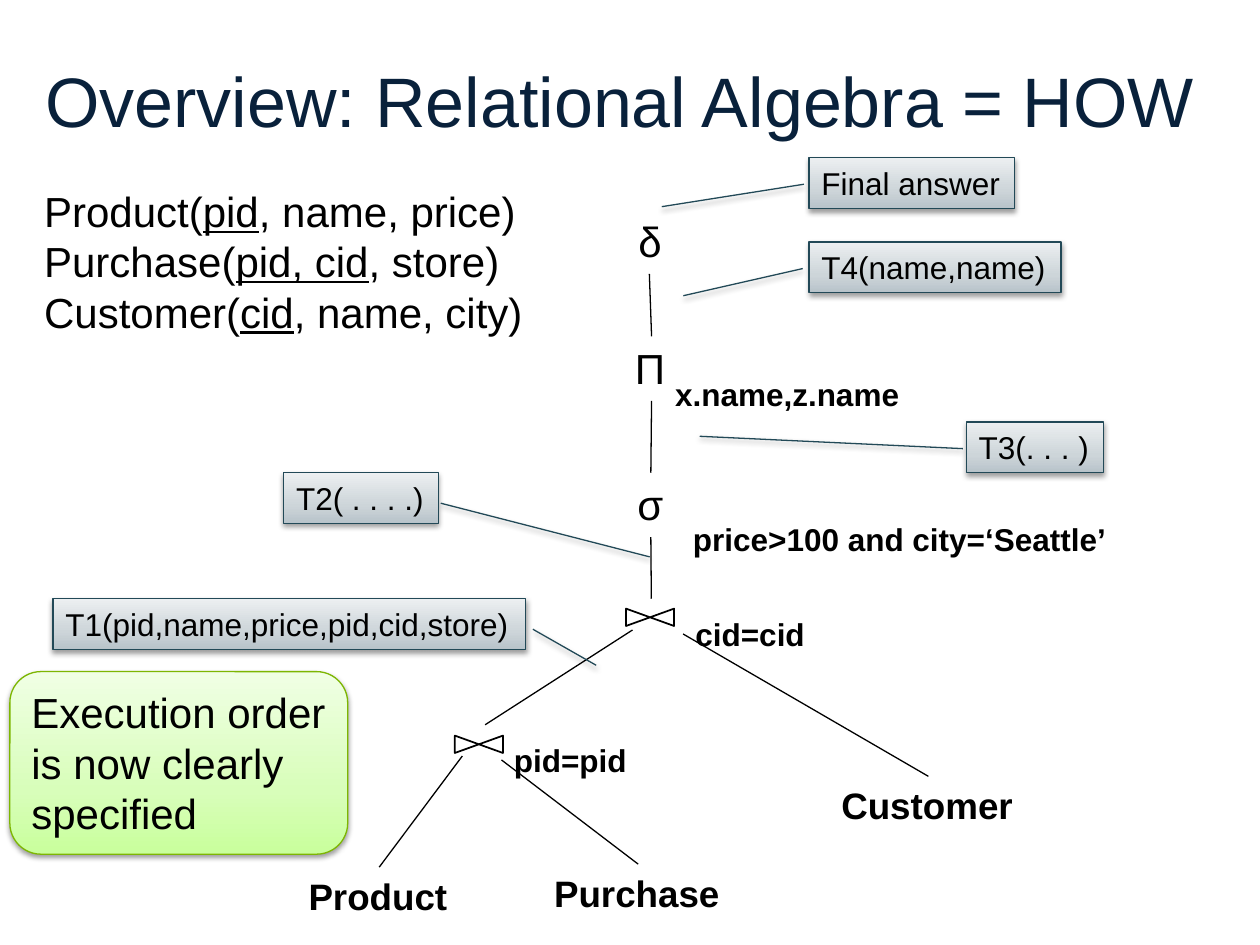
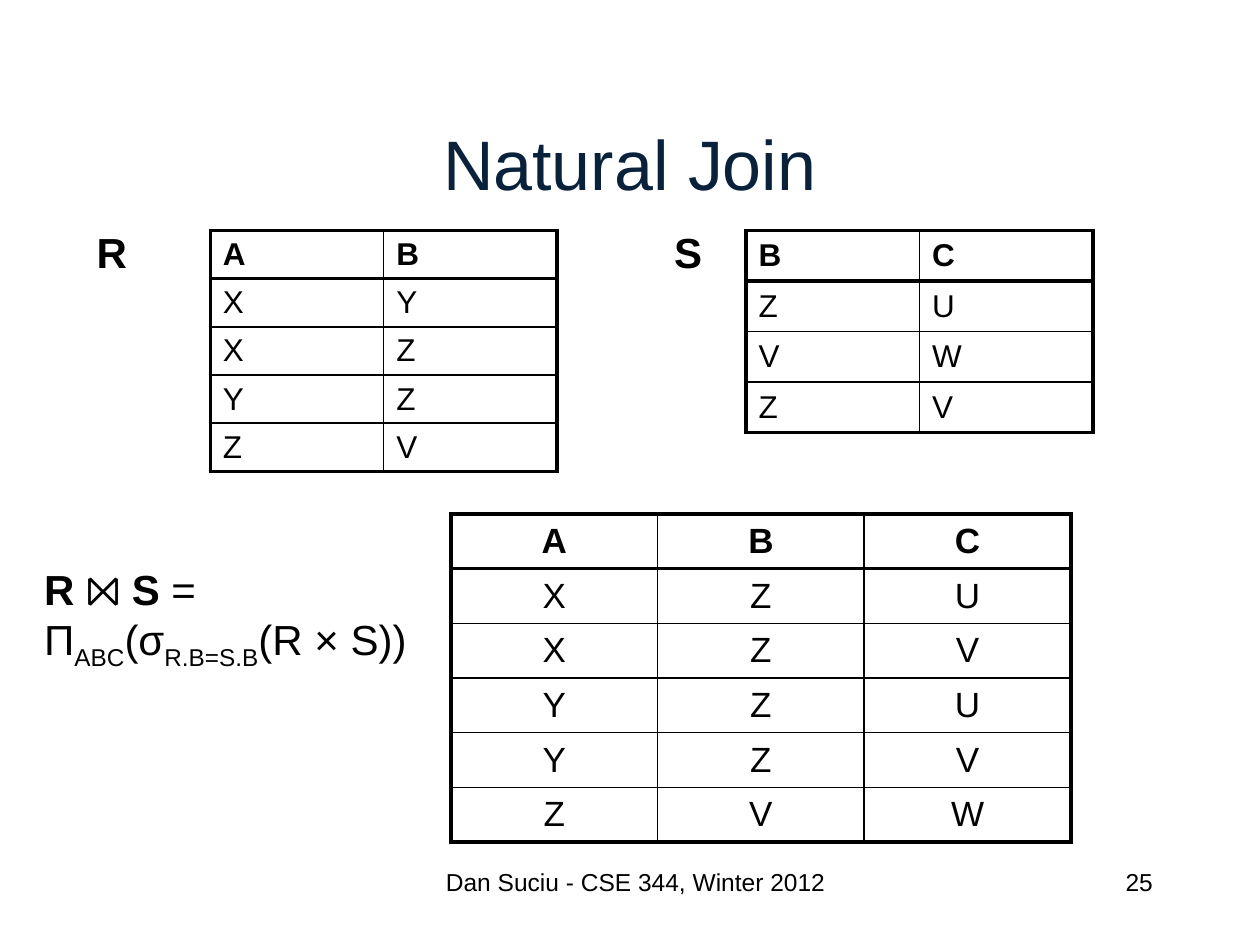
from dataclasses import dataclass

from lxml import etree
from pptx import Presentation
from pptx import util as u
from pptx.dml.color import RGBColor
from pptx.enum import shapes, text
from pptx.oxml import ns

LEFT, CENTER, RIGHT = text.PP_ALIGN.LEFT, text.PP_ALIGN.CENTER, text.PP_ALIGN.RIGHT
TOP_SIDE, LEFT_SIDE, BOTTOM_SIDE = 0, 1, 2


@dataclass(frozen=True)
class Theme:
    font: str = "Arial"
    ink: str = "000000"
    title: str = "09213B"
    callout_line: str = "224957"
    callout_stops: tuple = ((0, "B8C3CA"), (35, "CDD5D9"), (100, "ECEFF1"))
    note_line: str = "7DB602"
    note_stops: tuple = ((0, "C9FF9C"), (35, "D8FEBA"), (100, "F0FFE4"))
    title_size: float = 40
    body_size: float = 24
    leaf_size: float = 21
    result_size: float = 20
    label_size: float = 18
    footer_size: float = 14
    thin: float = 0.75
    grid: float = 1
    frame: float = 2.25


def cm(*lengths):
    return [u.Cm(length) for length in lengths]


def sub(parent, tag, **attributes):
    """Append a drawing element with the given attributes."""
    child = etree.SubElement(parent, ns.qn(tag))
    for name, value in attributes.items():
        child.set(name, str(value))
    return child


def bold(words):
    return words, {"bold": True}


def key(words):
    return words, {"underline": True}


def lowered(words):
    return words, {"lowered": True}


class Deck:
    def __init__(self, theme):
        self.theme = theme
        self.prs = Presentation()
        self.prs.slide_width, self.prs.slide_height = cm(25.4, 19.05)
        self.slide = None

    def new_slide(self, heading, box):
        self.slide = self.prs.slides.add_slide(self.prs.slide_layouts[5])
        title = self.slide.shapes.title
        title.left, title.top, title.width, title.height = cm(*box)
        frame = title.text_frame
        frame.auto_size = text.MSO_AUTO_SIZE.NONE
        frame.vertical_anchor = text.MSO_ANCHOR.MIDDLE
        self.add_lines(frame, [[heading]], self.theme.title_size, CENTER, self.theme.title)

    def add_lines(self, frame, lines, size, align=LEFT, color=None):
        """Fill a frame; each line is a list of strings or (string, style) pairs."""
        for number, line in enumerate(lines):
            paragraph = frame.add_paragraph() if number else frame.paragraphs[0]
            paragraph.alignment = align
            for part in line:
                words, style = (part, {}) if isinstance(part, str) else part
                run = paragraph.add_run()
                run.text = words
                font = run.font
                font.name, font.size = self.theme.font, u.Pt(size)
                font.color.rgb = RGBColor.from_string(color or self.theme.ink)
                font.bold = style.get("bold", False)
                if "underline" in style:
                    font.underline = True
                if "lowered" in style:
                    run._r.get_or_add_rPr().set("baseline", "-25000")

    def fit(self, frame):
        frame.word_wrap = False
        frame.auto_size = text.MSO_AUTO_SIZE.SHAPE_TO_FIT_TEXT

    def label(self, box, lines, size):
        """Text that sets the size of its own box."""
        area = self.slide.shapes.add_textbox(*cm(*box))
        self.fit(area.text_frame)
        self.add_lines(area.text_frame, lines, size)
        return area

    def footer(self, box, words, align):
        area = self.slide.shapes.add_textbox(*cm(*box))
        area.text_frame.word_wrap = True
        self.add_lines(area.text_frame, [[words]], self.theme.footer_size, align)

    def panel(self, kind, box, lines, size, adjustments, stops, line_color):
        """Gradient shape with a soft shadow below it."""
        shape = self.slide.shapes.add_shape(kind, *cm(*box))
        for index, value in enumerate(adjustments):
            shape.adjustments[index] = value
        shape.line.color.rgb = RGBColor.from_string(line_color)
        shape.line.width = u.Pt(self.theme.thin)

        properties = shape._element.spPr
        gradient = etree.Element(ns.qn("a:gradFill"), rotWithShape="1")
        stop_list = sub(gradient, "a:gsLst")
        for percent, color in stops:
            stop = sub(stop_list, "a:gs", pos=percent * 1000)
            sub(stop, "a:srgbClr", val=color)
        sub(gradient, "a:lin", ang=270 * 60000, scaled=0)
        properties.find(ns.qn("a:prstGeom")).addnext(gradient)

        shape.shadow.inherit = False
        shadow = sub(properties.find(ns.qn("a:effectLst")), "a:outerShdw",
                     blurRad=u.Pt(3.1), dist=u.Pt(1.6), dir=90 * 60000, rotWithShape=0)
        sub(sub(shadow, "a:srgbClr", val=self.theme.ink), "a:alpha", val=38000)

        shape.text_frame.vertical_anchor = text.MSO_ANCHOR.TOP
        self.fit(shape.text_frame)
        self.add_lines(shape.text_frame, lines, size)

    def callout(self, box, words, adjustments):
        theme = self.theme
        self.panel(shapes.MSO_SHAPE.LINE_CALLOUT_1, box, [[words]], theme.label_size,
                   adjustments, theme.callout_stops, theme.callout_line)

    def note(self, box, lines):
        theme = self.theme
        self.panel(shapes.MSO_SHAPE.ROUNDED_RECTANGLE, box, lines, theme.body_size,
                   [0.17], theme.note_stops, theme.note_line)

    def bowtie(self, left, top, width=0.97, height=0.35):
        """Join symbol: one closed outline that crosses itself."""
        x0, y0, x1, y1 = cm(left, top, left + width, top + height)
        builder = self.slide.shapes.build_freeform(x0, y0)
        builder.add_line_segments([(x1, y1), (x1, y0), (x0, y1)], close=True)
        symbol = builder.convert_to_shape()
        symbol.fill.background()
        symbol.line.color.rgb = RGBColor.from_string(self.theme.ink)
        symbol.line.width = u.Pt(self.theme.grid)
        symbol.shadow.inherit = False

    def edge(self, start, end):
        """Line between two ends, each an (x, y) point or a (shape, side) pair."""
        line = self.slide.shapes.add_connector(shapes.MSO_CONNECTOR.STRAIGHT, 0, 0, 0, 0)
        if isinstance(start[0], (int, float)):
            line.begin_x, line.begin_y = cm(*start)
        else:
            line.begin_connect(*start)
        if isinstance(end[0], (int, float)):
            line.end_x, line.end_y = cm(*end)
        else:
            line.end_connect(*end)
        line.line.color.rgb = RGBColor.from_string(self.theme.ink)
        line.line.width = u.Pt(self.theme.thin)
        sub(line._element.spPr, "a:effectLst")

    def relation(self, left, top, width, row_height, rows, size, align=LEFT):
        """Table with a heavy frame and a heavy rule below its header."""
        count, columns = len(rows), len(rows[0])
        table = self.slide.shapes.add_table(
            count, columns, *cm(left, top, width, row_height * count)).table
        table.horz_banding = False
        for r, values in enumerate(rows):
            table.rows[r].height = u.Cm(row_height)
            for c, value in enumerate(values):
                cell = table.cell(r, c)
                cell.fill.background()
                cell.vertical_anchor = text.MSO_ANCHOR.MIDDLE
                self.add_lines(cell.text_frame, [[value if r else bold(value)]], size, align)
                self.borders(cell, {"L": c == 0, "R": c == columns - 1,
                                    "T": r <= 1, "B": r in (0, count - 1)})

    def borders(self, cell, heavy_sides):
        properties = cell._tc.get_or_add_tcPr()
        for index, (side, heavy) in enumerate(heavy_sides.items()):
            weight = self.theme.frame if heavy else self.theme.grid
            border = etree.Element(ns.qn(f"a:ln{side}"), w=str(u.Pt(weight)))
            sub(sub(border, "a:solidFill"), "a:srgbClr", val=self.theme.ink)
            properties.insert(index, border)


def algebra_slide(deck):
    theme = deck.theme
    deck.new_slide("Overview: Relational Algebra = HOW", (0.42, 0.42, 24.13, 3.18))

    def leaf(box, name):
        return deck.label(box, [[bold(name)]], theme.leaf_size)

    def condition(left, top, width, words):
        return deck.label((left, top, width, 1.02), [[bold(words)]], theme.label_size)

    def operator(left, top, width, symbol):
        return deck.label((left, top, width, 1.3), [[symbol]], theme.body_size)

    product = leaf((5.97, 17.48, 3.35, 1.14), "Product")
    purchase = leaf((10.92, 17.42, 3.89, 1.14), "Purchase")
    customer = leaf((16.71, 15.65, 4.01, 1.14), "Customer")

    pid_match = condition(10.11, 14.81, 2.82, "pid=pid")
    cid_match = condition(13.77, 12.27, 2.74, "cid=cid")
    condition(13.72, 10.36, 8.94, "price>100 and city=‘Seattle’")
    condition(13.36, 7.44, 5.08, "x.name,z.name")

    distinct = operator(12.62, 4.22, 0.94, "δ")
    projection = operator(12.55, 6.78, 1.17, "Π")
    selection = operator(12.6, 9.53, 1.04, "σ")
    deck.bowtie(9.17, 14.83)
    deck.bowtie(12.62, 12.27)

    for start, end in (
        ((9.78, 14.61), (12.75, 12.7)),
        ((product, TOP_SIDE), (9.32, 15.24)),
        ((purchase, TOP_SIDE), (pid_match, LEFT_SIDE)),
        ((customer, TOP_SIDE), (cid_match, LEFT_SIDE)),
        ((13.13, 12.07), (selection, BOTTOM_SIDE)),
        ((selection, TOP_SIDE), (projection, BOTTOM_SIDE)),
        ((projection, TOP_SIDE), (distinct, BOTTOM_SIDE)),
    ):
        deck.edge(start, end)

    for left, top, width, words, pointer in (
        (1.07, 12.07, 9.53, "T1(pid,name,price,pid,cid,store)", (0.603, 1.015, 1.316, 1.149)),
        (5.72, 9.53, 3.12, "T2( . . . .)", (0.603, 1.015, 1.664, 2.365)),
        (16.31, 4.88, 5.08, "T4(name,name)", (0.525, -0.025, 1.061, -0.499)),
        (16.31, 3.18, 4.14, "Final answer", (0.525, -0.025, 0.968, -0.717)),
        (19.48, 8.51, 2.77, "T3(. . . )", (0.525, -0.025, 0.281, -1.94)),
    ):
        deck.callout((left, top, width, 1.02), words, pointer)

    deck.note((0.2, 13.54, 6.81, 3.68),
              [["Execution order"], ["is now clearly"], ["specified"]])
    deck.label((0.64, 3.61, 10.26, 3.33), [
        ["Product(", key("pid"), ", name, price)"],
        ["Purchase(", key("pid, cid"), ", store)"],
        ["Customer(", key("cid"), ", name, city)"],
    ], theme.body_size)


def join_slide(deck):
    theme = deck.theme
    deck.new_slide("Natural Join", (1.9, 1.69, 21.59, 3.18))

    for name, name_left, left, rows in (
        ("R", 1.7, 4.24, ("AB", "XY", "XZ", "YZ", "ZV")),
        ("S", 13.34, 15.04, ("BC", "ZU", "VW", "ZV")),
    ):
        deck.relation(left, 4.65, 6.99, 0.97, rows, theme.label_size)
        deck.label((name_left, 4.45, 1.12, 1.3), [[bold(name)]], theme.body_size)

    deck.relation(9.09, 10.36, 12.5, 1.05,
                  ("ABC", "XZU", "XZV", "YZU", "YZV", "ZVW"), theme.result_size, CENTER)
    deck.label((0.64, 11.23, 8.36, 2.31), [
        [bold("R "), "⨝ ", bold("S "), "="],
        ["Π", lowered("ABC"), "(σ", lowered("R.B=S.B"), "(R × S))"],
    ], theme.body_size)

    deck.footer((8.05, 17.35, 9.53, 1.27), "Dan Suciu - CSE 344, Winter 2012", CENTER)
    deck.footer((18.21, 17.35, 5.28, 1.27), "25", RIGHT)


def main():
    deck = Deck(Theme())
    algebra_slide(deck)
    join_slide(deck)
    deck.prs.save("out.pptx")


if __name__ == "__main__":
    main()
